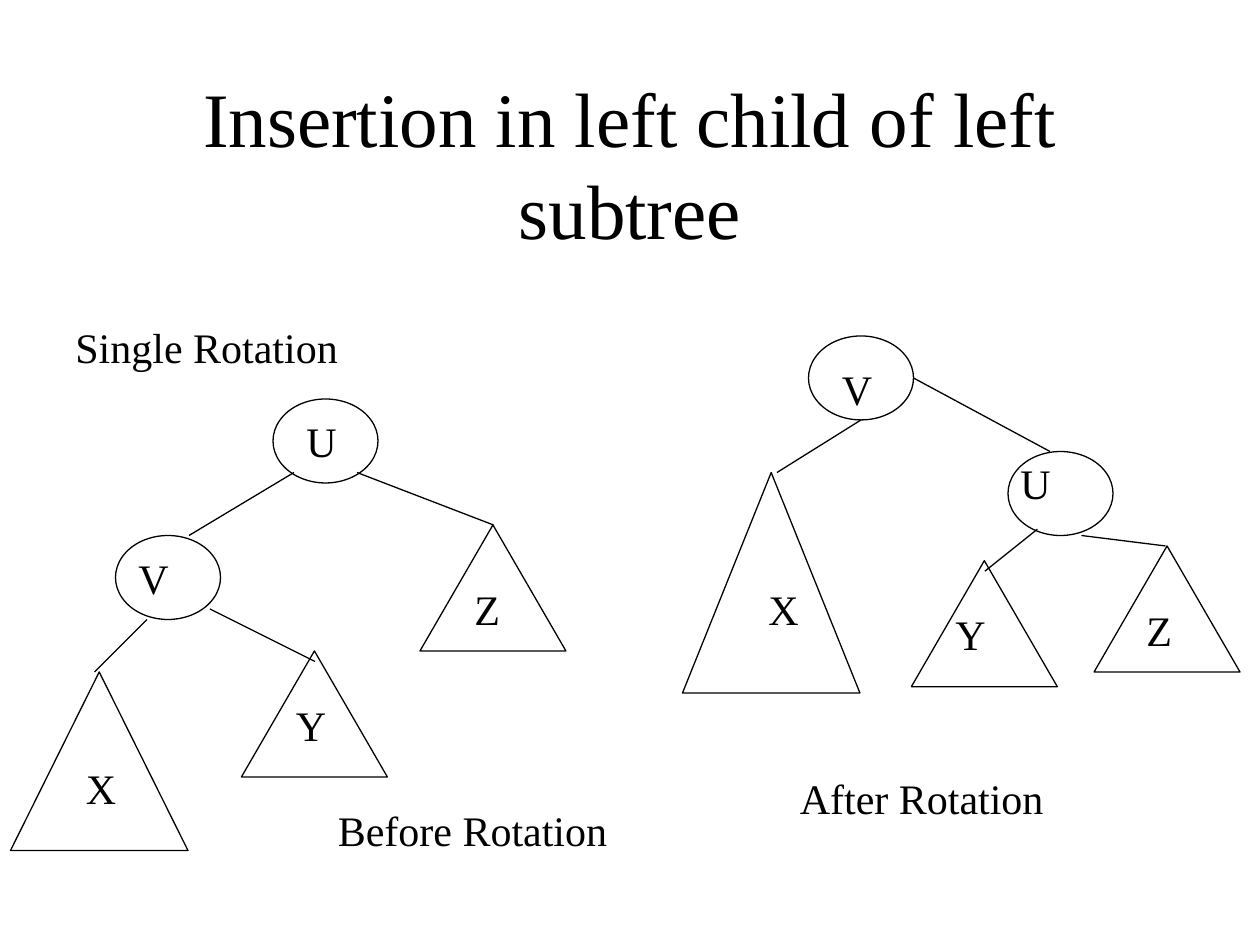
import pptx
import pptx.util
import pptx.dml.color
import pptx.enum.shapes
import pptx.enum.text
import pptx.oxml.ns
from dataclasses import dataclass
from lxml import etree

Pt = pptx.util.Pt
Form = pptx.enum.shapes.MSO_SHAPE
Fit = pptx.enum.text.MSO_AUTO_SIZE
Align = pptx.enum.text.PP_ALIGN
Anchor = pptx.enum.text.MSO_ANCHOR


@dataclass
class Theme:
    ink: str = "000000"
    font: str = "Times New Roman"
    head: int = 44
    body: int = 24
    line: float = 0.75
    gap: int = 15


def apply(item, form):
    for name, value in form.items():
        setattr(item, name, value)


class Deck:
    cell = pptx.util.Inches(1) / 12

    def __init__(self, theme):
        self.theme = theme
        self.ink = pptx.dml.color.RGBColor.from_string(theme.ink)
        self.file = pptx.Presentation()
        apply(self.file, {"slide_width": self.grid(120), "slide_height": self.grid(90)})
        self.slide = self.file.slides.add_slide(self.file.slide_layouts[5])

    def grid(self, count):
        return round(count * self.cell)

    def box(self, *cells):
        return [self.grid(count) for count in cells]

    def fill(self, frame, text, size, frame_form, para_form):
        apply(frame, {"word_wrap": True, **frame_form})
        para = frame.paragraphs[0]
        apply(para, para_form)
        run = para.add_run()
        run.text = text
        apply(run.font, {"name": self.theme.font, "size": Pt(size)})
        run.font.color.rgb = self.ink

    def stroke(self, item):
        item.line.color.rgb = self.ink
        item.line.width = Pt(self.theme.line)

    def title(self, text, *cells):
        item = self.slide.shapes.title
        apply(item, dict(zip(("left", "top", "width", "height"), self.box(*cells))))
        self.fill(item.text_frame, text, self.theme.head,
                  {"auto_size": Fit.NONE, "vertical_anchor": Anchor.MIDDLE},
                  {"alignment": Align.CENTER})

    def text(self, text, left, top, width):
        item = self.slide.shapes.add_textbox(*self.box(left, top, width, 6))
        self.fill(item.text_frame, text, self.theme.body,
                  {"auto_size": Fit.SHAPE_TO_FIT_TEXT},
                  {"space_before": Pt(self.theme.gap)})

    def shape(self, form, *cells):
        item = self.slide.shapes.add_shape(form, *self.box(*cells))
        item.shadow.inherit = False
        item.fill.background()
        self.stroke(item)

    def node(self, text, left, top, label):
        self.shape(Form.OVAL, left, top, 10, 8)
        self.text(text, *label)

    def tree(self, text, left, top, size, label):
        self.shape(Form.ISOSCELES_TRIANGLE, left, top, *size)
        self.text(text, *label)

    def edge(self, *cells):
        kind = pptx.enum.shapes.MSO_CONNECTOR.STRAIGHT
        item = self.slide.shapes.add_connector(kind, *self.box(*cells))
        self.stroke(item)
        etree.SubElement(item._element.spPr, pptx.oxml.ns.qn("a:effectLst"))


def main():
    deck = Deck(Theme())
    deck.title("Insertion in left child of left subtree", 9, 8, 102, 15)

    for label in (
        ("Single Rotation", 6, 30, 93),
        ("Before Rotation", 31, 76, 30),
        ("After Rotation", 75, 73, 30),
    ):
        deck.text(*label)

    for node in (
        ("U", 26, 38, (28, 39, 25)),
        ("V", 11, 51, (12, 52, 25)),
        ("V", 77, 32, (79, 34, 25)),
        ("U", 96, 43, (96, 43, 10)),
    ):
        deck.node(*node)

    small = (13.9, 12)
    for tree in (
        ("X", 1, 64, (16.9, 17), (7, 72, 25)),
        ("Y", 23, 62, small, (27, 66, 25)),
        ("Z", 40, 50, small, (44, 55, 11)),
        ("X", 65, 45, (16.9, 21), (72, 55, 17)),
        ("Y", 86.8, 53.4, small, (89.8, 57.4, 10)),
        ("Z", 104.2, 52, small, (108, 57, 10)),
    ):
        deck.tree(*tree)

    for edge in (
        (18, 51, 28, 45),
        (9, 64, 14, 59),
        (20, 58, 30, 63),
        (34, 45, 47, 50),
        (87, 36, 100, 43),
        (74, 45, 82, 40),
        (93.8, 54.4, 98.8, 50.4),
        (103, 51, 111, 52),
    ):
        deck.edge(*edge)

    deck.file.save("out.pptx")


if __name__ == "__main__":
    main()
